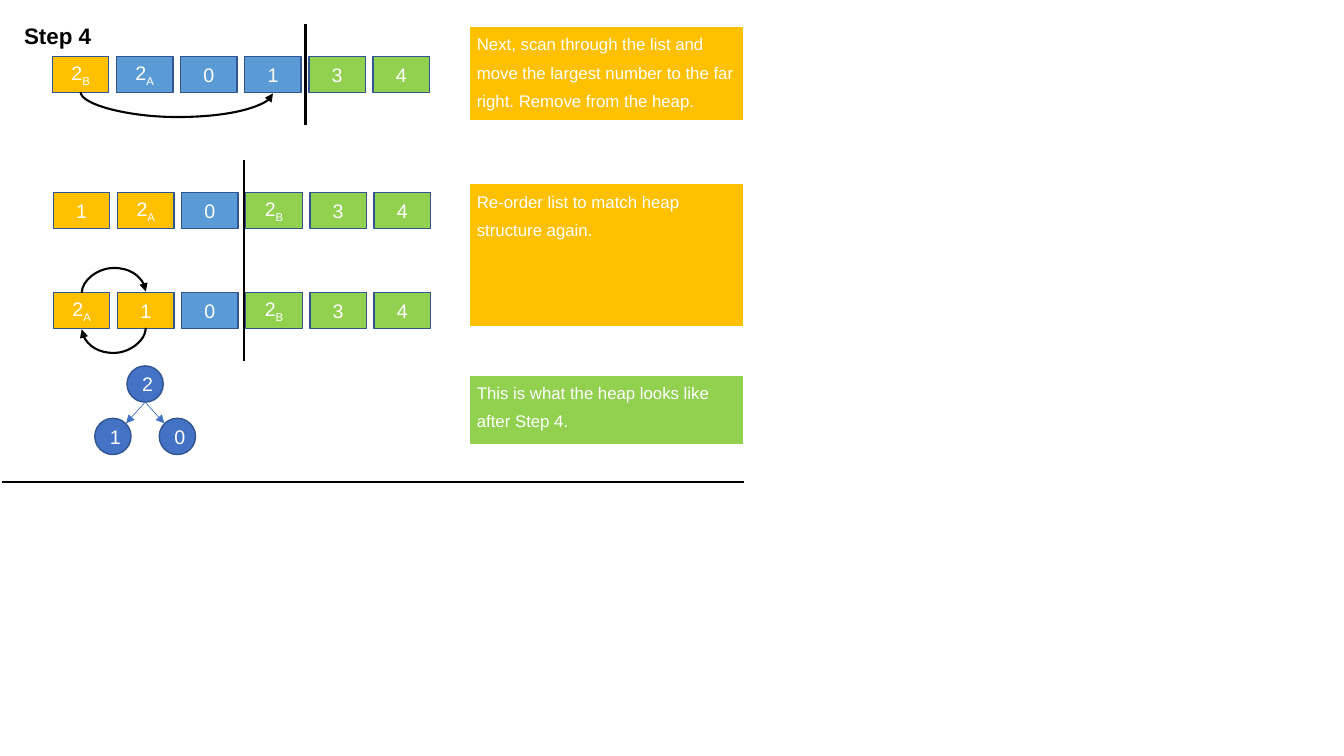
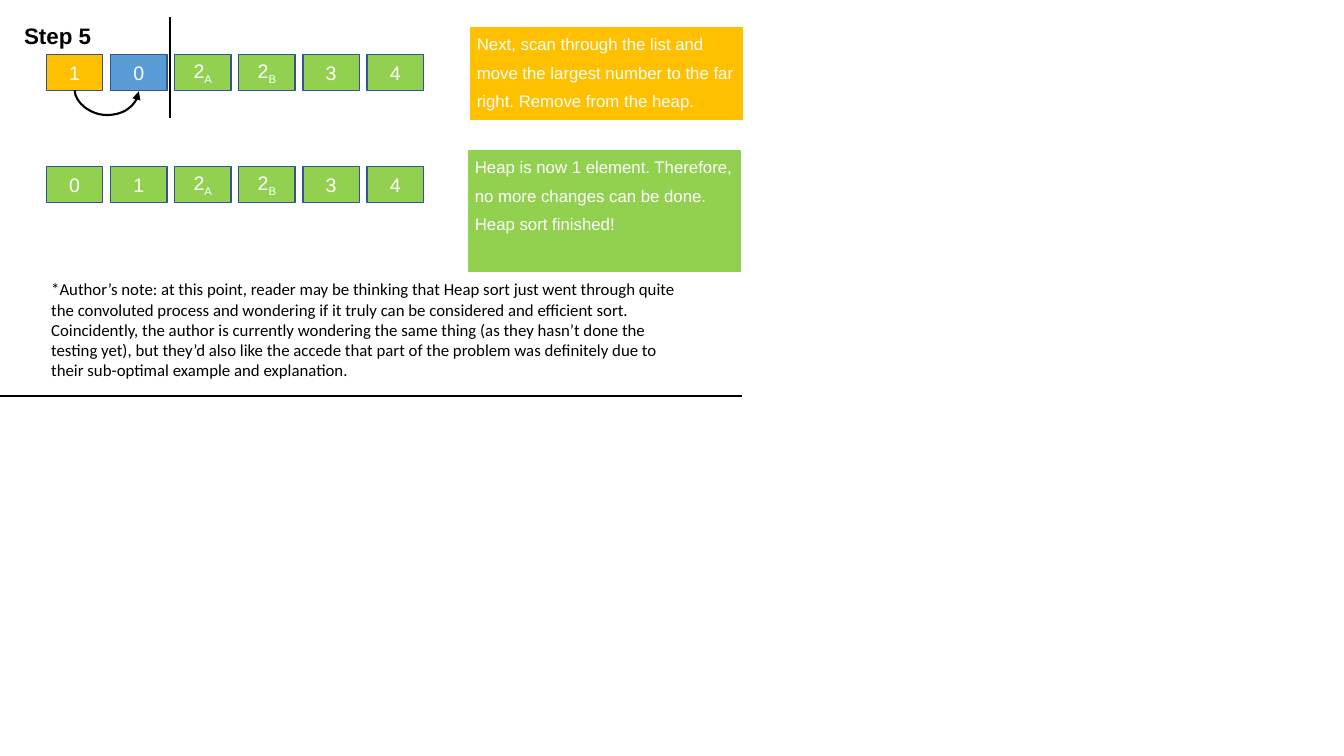
from dataclasses import dataclass
from enum import Enum

from lxml.etree import SubElement
from pptx import Presentation
from pptx.dml.color import RGBColor
from pptx.enum.shapes import MSO_CONNECTOR as Connector, MSO_SHAPE as Shape
from pptx.enum.text import MSO_ANCHOR as Anchor, MSO_AUTO_SIZE as AutoSize, PP_ALIGN as Align
from pptx.oxml.ns import qn
from pptx.util import Inches, Pt

BLACK = RGBColor(0x00, 0x00, 0x00)
WHITE = RGBColor(0xFF, 0xFF, 0xFF)
GOLD = RGBColor(0xFF, 0xC0, 0x00)
BLUE = RGBColor(0x5B, 0x9B, 0xD5)
GREEN = RGBColor(0x92, 0xD0, 0x50)
NODE_BLUE = RGBColor(0x44, 0x72, 0xC4)
OUTLINE = RGBColor(0x32, 0x54, 0x91)

SLIDE_W, SLIDE_H = 13.33, 7.5
CELL_W, CELL_H = 0.56, 0.36
PITCH = 3.18 / 5  # left edge to left edge of neighbouring cells
NODE = 0.36
RULE_W = 7.36
DIVIDER_H = 1.0
CALLOUT_W = 2.72
ARC_THICKNESS = Pt(1)
ARC_DEPTH = 1_800_000  # bulge of an arc, in 1/100000 of its thickness
SCAN_TEXT = ("Next, scan through the list and move the largest number to the far right. "
             "Remove from the heap.")


class Bend(Enum):
    """Rotation and flips that turn a curved connector into a swap arrow."""
    RIGHT_BELOW = {"rot": "16200000", "flipH": "1"}
    RIGHT_ABOVE = {"rot": "5400000", "flipH": "1", "flipV": "1"}
    LEFT_BELOW = {"rot": "5400000"}


@dataclass(frozen=True)
class Arc:
    first: int
    last: int
    bend: Bend


@dataclass(frozen=True)
class ListRow:
    """A list whose first cells are active, the next in the heap, the rest sorted."""
    left: float
    top: float
    values: tuple[str, ...]
    active: int
    heap: int
    arcs: tuple[Arc, ...] = ()

    def column(self, index: int) -> float:
        return self.left + index * PITCH

    def fill(self, index: int) -> RGBColor:
        if index < self.active:
            return GOLD
        return BLUE if index < self.active + self.heap else GREEN


@dataclass(frozen=True)
class Divider:
    x: float
    top: float


@dataclass(frozen=True)
class Callout:
    left: float
    top: float
    height: float
    text: str
    fill: RGBColor


@dataclass(frozen=True)
class HeapNode:
    left: float
    top: float
    value: str


@dataclass(frozen=True)
class Step:
    title: str
    rule_left: float
    rule_y: float
    rows: tuple[ListRow, ...]
    dividers: tuple[Divider, ...]
    callouts: tuple[Callout, ...]
    heap: tuple[HeapNode, ...] = ()
    note: str = ""


STEPS = (
    Step(
        "Step 4", 0.02, 4.78,
        rows=(
            ListRow(0.52, 0.56, ("2B", "2A", "0", "1", "3", "4"), 1, 3,
                    (Arc(0, 3, Bend.RIGHT_BELOW),)),
            ListRow(0.53, 1.91, ("1", "2A", "0", "2B", "3", "4"), 2, 1),
            ListRow(0.53, 2.9, ("2A", "1", "0", "2B", "3", "4"), 2, 1,
                    (Arc(0, 1, Bend.RIGHT_ABOVE), Arc(1, 0, Bend.LEFT_BELOW))),
        ),
        dividers=(Divider(3.03, 0.24), Divider(2.42, 1.59), Divider(2.42, 2.58)),
        callouts=(
            Callout(4.66, 0.26, 0.95, SCAN_TEXT, GOLD),
            Callout(4.66, 1.82, 1.43, "Re-order list to match heap structure again.", GOLD),
            Callout(4.66, 3.72, 0.7, "This is what the heap looks like after Step 4.", GREEN),
        ),
        heap=(HeapNode(1.26, 3.63, "2"), HeapNode(0.94, 4.15, "1"), HeapNode(1.58, 4.15, "0")),
    ),
    Step(
        "Step 5", 0, 3.93,
        rows=(
            ListRow(0.46, 0.54, ("1", "0", "2A", "2B", "3", "4"), 1, 1,
                    (Arc(0, 1, Bend.RIGHT_BELOW),)),
            ListRow(0.46, 1.65, ("0", "1", "2A", "2B", "3", "4"), 0, 0),
        ),
        dividers=(Divider(1.69, 0.17),),
        callouts=(
            Callout(4.66, 0.26, 0.95, SCAN_TEXT, GOLD),
            Callout(4.64, 1.48, 1.24, "Heap is now 1 element. Therefore, no more changes can be "
                    "done. Heap sort finished!", GREEN),
        ),
        note="*Author’s note: at this point, reader may be thinking that Heap sort just went "
             "through quite the convoluted process and wondering if it truly can be considered "
             "and efficient sort. Coincidently, the author is currently wondering the same thing "
             "(as they hasn’t done the testing yet), but they’d also like the accede that part "
             "of the problem was definitely due to their sub-optimal example and explanation.",
    ),
)


def style_runs(paragraph, size: float, color: RGBColor, font: str = "Arial",
               bold: bool = False) -> None:
    for run in paragraph.runs:
        run.font.size = Pt(size)
        run.font.name = font
        run.font.bold = bold
        run.font.color.rgb = color


def add_value(shapes, kind: Shape, left: float, top: float, width: float, height: float,
              value: str, fill: RGBColor) -> None:
    """Draw an outlined number; a letter after the digit becomes its subscript."""
    box = shapes.add_shape(kind, Inches(left), Inches(top), Inches(width), Inches(height))
    box.shadow.inherit = False
    box.fill.solid()
    box.fill.fore_color.rgb = fill
    box.line.color.rgb = OUTLINE
    box.line.width = Pt(1)
    box.text_frame.vertical_anchor = Anchor.MIDDLE
    paragraph = box.text_frame.paragraphs[0]
    paragraph.text = value[0]
    paragraph.alignment = Align.CENTER
    if value[1:]:
        subscript = paragraph.add_run()
        subscript.text = value[1:]
        subscript._r.get_or_add_rPr().set("baseline", "-25000")
    style_runs(paragraph, 14, WHITE)


def style_line(connector, color: RGBColor = BLACK, width: float = 1.5,
               arrow: bool = False) -> None:
    connector.line.color.rgb = color
    connector.line.width = Pt(width)
    properties = connector.element.spPr
    if arrow:
        SubElement(properties.find(qn("a:ln")), qn("a:tailEnd"), type="triangle")
    SubElement(properties, qn("a:effectLst"))


def add_line(shapes, x1: float, y1: float, x2: float, y2: float):
    return shapes.add_connector(Connector.STRAIGHT, Inches(x1), Inches(y1),
                                Inches(x2), Inches(y2))


def add_arc(shapes, row: ListRow, arc: Arc) -> None:
    """Draw a swap arrow between the centres of two cells of a row."""
    middle = Inches((row.column(arc.first) + row.column(arc.last) + CELL_W) / 2)
    edge = Inches(row.top + (0 if arc.bend is Bend.RIGHT_ABOVE else CELL_H))
    span = Inches(abs(arc.last - arc.first) * PITCH)
    left, top = middle - ARC_THICKNESS // 2, edge - span // 2
    curve = shapes.add_connector(Connector.CURVE, left, top, left + ARC_THICKNESS, top + span)
    properties = curve.element.spPr
    for name, value in arc.bend.value.items():
        properties.find(qn("a:xfrm")).set(name, value)
    adjustments = properties.find(qn("a:prstGeom")).find(qn("a:avLst"))
    SubElement(adjustments, qn("a:gd"), name="adj1", fmla=f"val {ARC_DEPTH}")
    style_line(curve, arrow=True)


def add_row(shapes, row: ListRow) -> None:
    for index, value in enumerate(row.values):
        add_value(shapes, Shape.RECTANGLE, row.column(index), row.top, CELL_W, CELL_H,
                  value, row.fill(index))
    for arc in row.arcs:
        add_arc(shapes, row, arc)


def add_callout(shapes, callout: Callout) -> None:
    table = shapes.add_table(1, 1, Inches(callout.left), Inches(callout.top),
                             Inches(CALLOUT_W), Inches(callout.height)).table
    table.first_row = table.horz_banding = False
    cell = table.cell(0, 0)
    cell.margin_left = cell.margin_right = Inches(0.07)
    cell.margin_top = cell.margin_bottom = 0
    properties = cell._tc.get_or_add_tcPr()
    for side, width in (("L", 1), ("R", 1), ("T", 1), ("B", 3)):
        border = SubElement(properties, qn(f"a:ln{side}"), w=str(int(Pt(width))))
        SubElement(SubElement(border, qn("a:solidFill")), qn("a:srgbClr"), val=str(WHITE))
    cell.fill.solid()
    cell.fill.fore_color.rgb = callout.fill
    paragraph = cell.text_frame.paragraphs[0]
    paragraph.text = callout.text
    paragraph.line_spacing = 1.5
    style_runs(paragraph, 12, WHITE)


def add_heap(shapes, nodes: tuple[HeapNode, ...]) -> None:
    """Draw a root with its children in one group."""
    members = shapes.add_group_shape().shapes
    for node in nodes:
        add_value(members, Shape.OVAL, node.left, node.top, NODE, NODE, node.value, NODE_BLUE)
    root, *children = nodes
    root_x = root.left + NODE / 2
    for child in children:
        side = 1 if child.left < root.left else -1
        edge = add_line(members, root_x, root.top + NODE,
                        child.left + NODE / 2 + side * 0.13, child.top + 0.05)
        style_line(edge, NODE_BLUE, 0.5, arrow=True)


def add_text(shapes, left: float, top: float, width: float, height: float, text: str,
             size: float, font: str, bold: bool, wrap: bool) -> None:
    frame = shapes.add_textbox(Inches(left), Inches(top), Inches(width),
                               Inches(height)).text_frame
    frame.text = text
    frame.word_wrap = wrap
    frame.auto_size = AutoSize.SHAPE_TO_FIT_TEXT
    style_runs(frame.paragraphs[0], size, BLACK, font, bold)


def add_step(slide, step: Step) -> None:
    shapes = slide.shapes
    add_text(shapes, 0.14, 0.17, 0.88, 0.37, step.title, 16, "Arial", bold=True, wrap=False)
    style_line(add_line(shapes, step.rule_left, step.rule_y,
                        step.rule_left + RULE_W, step.rule_y))
    for row in step.rows:
        add_row(shapes, row)
    for divider in step.dividers:
        style_line(add_line(shapes, divider.x, divider.top, divider.x, divider.top + DIVIDER_H))
    for callout in step.callouts:
        add_callout(shapes, callout)
    if step.heap:
        add_heap(shapes, step.heap)
    if step.note:
        add_text(shapes, 0.41, 2.72, 6.54, 1.11, step.note, 12, "Calibri",
                 bold=False, wrap=True)


def main() -> None:
    deck = Presentation()
    deck.slide_width, deck.slide_height = Inches(SLIDE_W), Inches(SLIDE_H)
    blank = deck.slide_layouts[6]
    for step in STEPS:
        add_step(deck.slides.add_slide(blank), step)
    deck.save("out.pptx")


if __name__ == "__main__":
    main()
